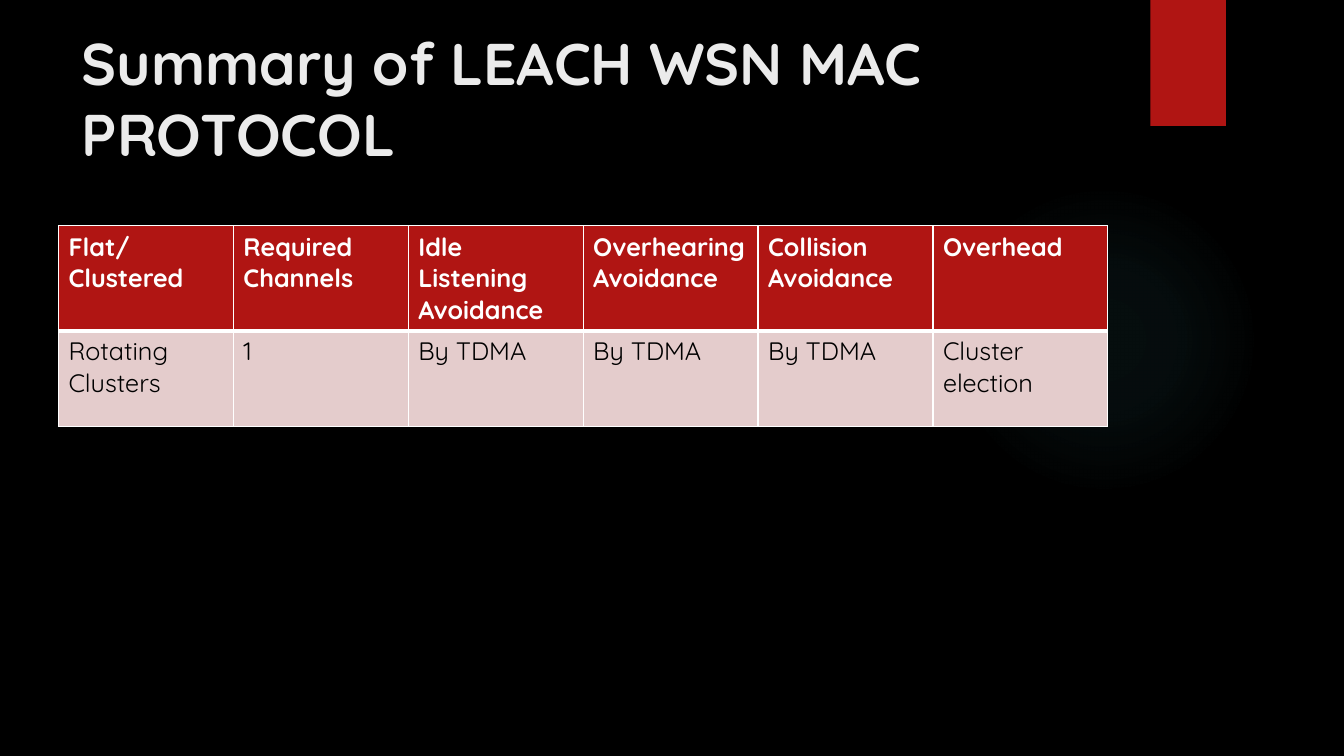
from lxml import etree
from pptx import Presentation
from pptx.dml.color import RGBColor
from pptx.enum.shapes import MSO_SHAPE
from pptx.enum.text import MSO_ANCHOR, MSO_AUTO_SIZE, PP_ALIGN
from pptx.oxml import parse_xml
from pptx.oxml.ns import nsdecls, qn
from pptx.util import Inches, Pt

RECTANGLE = MSO_SHAPE.RECTANGLE
OVAL = MSO_SHAPE.OVAL
MIDDLE = MSO_ANCHOR.MIDDLE
LEFT = PP_ALIGN.LEFT
NO_AUTOFIT = MSO_AUTO_SIZE.NONE

BLACK = RGBColor(0x00, 0x00, 0x00)
WHITE = RGBColor(0xFF, 0xFF, 0xFF)
OFF_WHITE = RGBColor(0xEB, 0xEB, 0xEB)
RED = RGBColor(0xB0, 0x15, 0x13)
PINK = RGBColor(0xE4, 0xCC, 0xCC)
TEAL = RGBColor(0x50, 0xB9, 0xC1)

FONT = "Quicksand"
TITLE_ONLY = 5
GLOW_STOPS = [(0, 7), (36, 6), (69, 0)]
HEADERS = [
    "Flat/\nClustered",
    "Required\nChannels",
    "Idle\nListening\nAvoidance",
    "Overhearing\nAvoidance",
    "Collision\nAvoidance",
    "Overhead",
]
VALUES = ["Rotating\nClusters", "1", "By TDMA", "By TDMA", "By TDMA", "Cluster\nelection"]


class SlideBuilder:
    def __init__(self, presentation):
        self.slide = presentation.slides.add_slide(presentation.slide_layouts[TITLE_ONLY])
        background = self.slide.background.fill
        background.solid()
        background.fore_color.rgb = BLACK

    def text(self, text_frame, text, size, color, bold):
        text_frame.text = text
        text_frame.word_wrap = True
        font_format = {"name": FONT, "size": Pt(size), "bold": bold}
        for paragraph in text_frame.paragraphs:
            paragraph.alignment = LEFT
            for run in paragraph.runs:
                for name, value in font_format.items():
                    setattr(run.font, name, value)
                run.font.color.rgb = color

    def title(self, text, left, top, width, height):
        title = self.slide.shapes.title
        position = {"left": left, "top": top, "width": width, "height": height}
        for name, value in position.items():
            setattr(title, name, Inches(value))
        self.text(title.text_frame, text, 42, OFF_WHITE, True)
        title.text_frame.vertical_anchor = MIDDLE
        title.text_frame.auto_size = NO_AUTOFIT

    def shape(self, kind, left, top, width, height, color):
        shape = self.slide.shapes.add_shape(
            kind, Inches(left), Inches(top), Inches(width), Inches(height)
        )
        shape.shadow.inherit = False
        shape.line.fill.background()
        shape.fill.solid()
        shape.fill.fore_color.rgb = color
        return shape

    def glow(self, left, top, size, color, stops):
        shape = self.shape(OVAL, left, top, size, size, color)
        stop_xml = "".join(
            f'<a:gs pos="{position * 1000}"><a:srgbClr val="{color}">'
            f'<a:alpha val="{alpha * 1000}"/></a:srgbClr></a:gs>'
            for position, alpha in stops
        )
        gradient = parse_xml(
            f'<a:gradFill {nsdecls("a")}><a:gsLst>{stop_xml}</a:gsLst><a:path path="circle">'
            '<a:fillToRect l="50000" t="50000" r="50000" b="50000"/></a:path></a:gradFill>'
        )
        properties = shape.element.spPr
        properties.replace(properties.find(qn("a:solidFill")), gradient)

    def ribbon(self, left, top, width, height, color):
        shape = self.shape(RECTANGLE, left, top, width, height, color)
        effects = shape.element.spPr.find(qn("a:effectLst"))
        effects.append(parse_xml(
            f'<a:outerShdw {nsdecls("a")} blurRad="{Pt(3)}" dist="{Pt(2)}" dir="5400000" '
            f'rotWithShape="0"><a:srgbClr val="{BLACK}"><a:alpha val="45000"/>'
            '</a:srgbClr></a:outerShdw>'
        ))

    def borders(self, cell, widths):
        properties = cell._tc.get_or_add_tcPr()
        for index, (side, width) in enumerate(widths.items()):
            line = etree.Element(qn(f"a:ln{side}"), w=str(Pt(width)))
            fill = etree.SubElement(line, qn("a:solidFill"))
            etree.SubElement(fill, qn("a:srgbClr"), val=str(WHITE))
            properties.insert(index, line)

    def table(self, rows, left, top, column_width, row_height):
        columns = len(rows[0])
        table = self.slide.shapes.add_table(
            len(rows), columns, Inches(left), Inches(top),
            Inches(column_width * columns), Inches(row_height * len(rows)),
        ).table
        for column in table.columns:
            column.width = Inches(column_width)
        for row_index, texts in enumerate(rows):
            header = row_index == 0
            table.rows[row_index].height = Inches(row_height)
            for column_index, text in enumerate(texts):
                cell = table.cell(row_index, column_index)
                cell.fill.solid()
                cell.fill.fore_color.rgb = RED if header else PINK
                self.text(cell.text_frame, text, 18, WHITE if header else BLACK, header)
                widths = {"L": 1, "R": 1, "T": 1 if header else 3, "B": 3 if header else 1}
                self.borders(cell, widths)


def main():
    presentation = Presentation()
    presentation.slide_width = Inches(13.33)
    presentation.slide_height = Inches(7.5)
    builder = SlideBuilder(presentation)
    builder.glow(9.41, 1.83, 3.08, TEAL, GLOW_STOPS)
    builder.ribbon(11.41, 0, 0.75, 1.25, RED)
    builder.table([HEADERS, VALUES], 0.58, 2.24, 10.41 / len(HEADERS), 0.95)
    builder.title("Summary of LEACH WSN MAC PROTOCOL", 0.71, 0.22, 10.29, 1.49)
    presentation.save("out.pptx")


if __name__ == "__main__":
    main()
